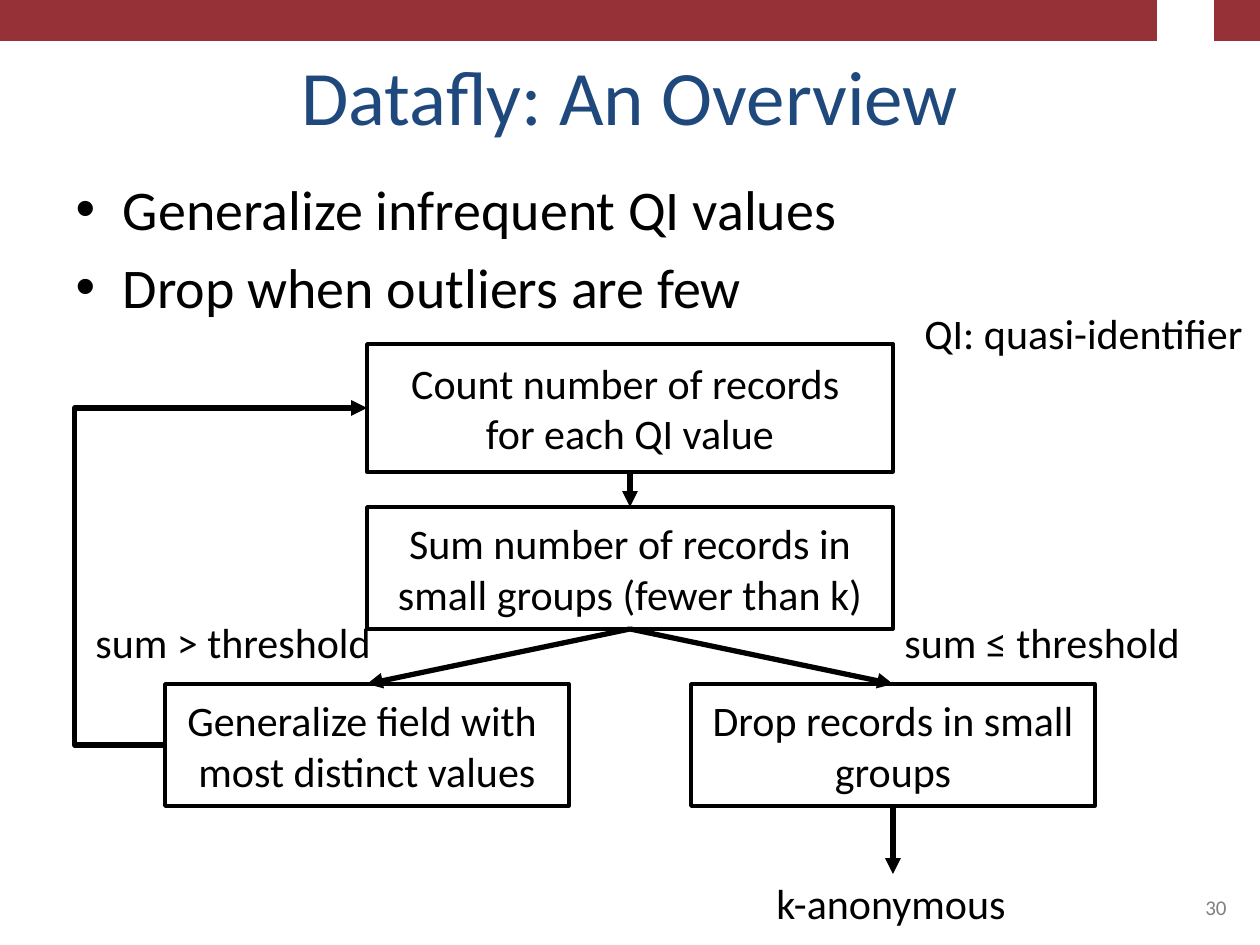
import pptx
import pptx.util
import pptx.dml.color
import pptx.enum.shapes
import pptx.enum.text
import pptx.oxml
import pptx.oxml.ns

SCALE = 914400 / 126
BLACK = "000000"
ALIGN = pptx.enum.text.PP_ALIGN
ANCHOR = pptx.enum.text.MSO_ANCHOR
SHAPE = pptx.enum.shapes.MSO_SHAPE
LINK = pptx.enum.shapes.MSO_CONNECTOR


def px(*nums):
    return [pptx.util.Emu(round(n * SCALE)) for n in nums]


def color(code):
    return pptx.dml.color.RGBColor.from_string(code)


def tag(kind, **attrs):
    node = pptx.oxml.parse_xml(f"<a:{kind} {pptx.oxml.ns.nsdecls('a')}/>")
    for key, value in attrs.items():
        node.set(key, value)
    return node


def write(frame, *lines, size=24, ink=BLACK, align=ALIGN.LEFT,
          anchor=ANCHOR.TOP, wrap=True, gap=0):
    frame.word_wrap = wrap
    frame.vertical_anchor = anchor
    frame.auto_size = pptx.enum.text.MSO_AUTO_SIZE.NONE
    for i, line in enumerate(lines):
        para = frame.add_paragraph() if i else frame.paragraphs[0]
        para.alignment = align
        para.space_before = pptx.util.Pt(gap if i else 0)
        run = para.add_run()
        run.text = line
        run.font.size = pptx.util.Pt(size)
        run.font.name = "Calibri"
        run.font.color.rgb = color(ink)


def place(shape, *area):
    shape.left, shape.top, shape.width, shape.height = px(*area)
    return shape.text_frame


def block(slide, area, fill):
    shape = slide.shapes.add_shape(SHAPE.RECTANGLE, *px(*area))
    shape.shadow.inherit = False
    shape.fill.solid()
    shape.fill.fore_color.rgb = color(fill)
    shape.line.fill.background()


def step(slide, area, *lines):
    shape = slide.shapes.add_shape(SHAPE.RECTANGLE, *px(*area))
    shape.shadow.inherit = False
    shape.fill.background()
    shape.line.color.rgb = color(BLACK)
    shape.line.width = pptx.util.Pt(2)
    write(shape.text_frame, *lines, align=ALIGN.CENTER, anchor=ANCHOR.MIDDLE)


def label(slide, area, line, **style):
    box = slide.shapes.add_textbox(*px(*area))
    write(box.text_frame, line, **style)


def arrow(slide, start, end, kind=LINK.STRAIGHT, bend=None):
    link = slide.shapes.add_connector(kind, *px(*start, *end))
    link.line.color.rgb = color(BLACK)
    link.line.width = pptx.util.Pt(3)
    props = link._element.spPr
    props.find(pptx.oxml.ns.qn("a:ln")).append(tag("tailEnd", type="triangle"))
    props.append(tag("effectLst"))
    if bend is not None:
        guides = props.find(".//" + pptx.oxml.ns.qn("a:avLst"))
        guides.append(tag("gd", name="adj1", fmla=f"val {bend}"))


def main():
    deck = pptx.Presentation()
    deck.slide_width, deck.slide_height = px(1260, 945)
    slide = deck.slides.add_slide(deck.slide_layouts[1])

    block(slide, (0, 0, 1260, 41), "963237")
    block(slide, (1157, 0, 57, 41), "FFFFFF")

    title, body = slide.placeholders
    write(place(title, 63, 38, 1134, 109), "Datafly: An Overview",
          size=44, ink="1F497D", align=ALIGN.CENTER, anchor=ANCHOR.BOTTOM)
    write(place(body, 63, 168, 1134, 175), "Generalize infrequent QI values",
          "Drop when outliers are few", size=32, gap=6.4)

    step(slide, (367, 344, 526, 128),
         "Count number of records ", "for each QI value")
    step(slide, (367, 507, 526, 122),
         "Sum number of records in small groups (fewer than k)")
    step(slide, (165, 684, 404, 122),
         "Generalize field with ", "most distinct values")
    step(slide, (691, 684, 404, 122), "Drop records in small groups")

    arrow(slide, (630, 472), (630, 507))
    for end in (367, 893):
        arrow(slide, (630, 629), (end, 684))
    arrow(slide, (893, 806), (893, 874))
    arrow(slide, (165, 745), (367, 408), LINK.ELBOW, -44700)

    label(slide, (83, 610, 326, 63), "sum > threshold")
    label(slide, (892, 610, 326, 63), "sum ≤ threshold")
    label(slide, (912, 301, 348, 63), "QI: quasi-identifier", wrap=False)
    label(slide, (764, 871, 257, 63), "k-anonymous", wrap=False)
    label(slide, (903, 861, 336, 65), "30", size=12, ink="808080",
          align=ALIGN.RIGHT, anchor=ANCHOR.BOTTOM)

    deck.save("out.pptx")


if __name__ == "__main__":
    main()
